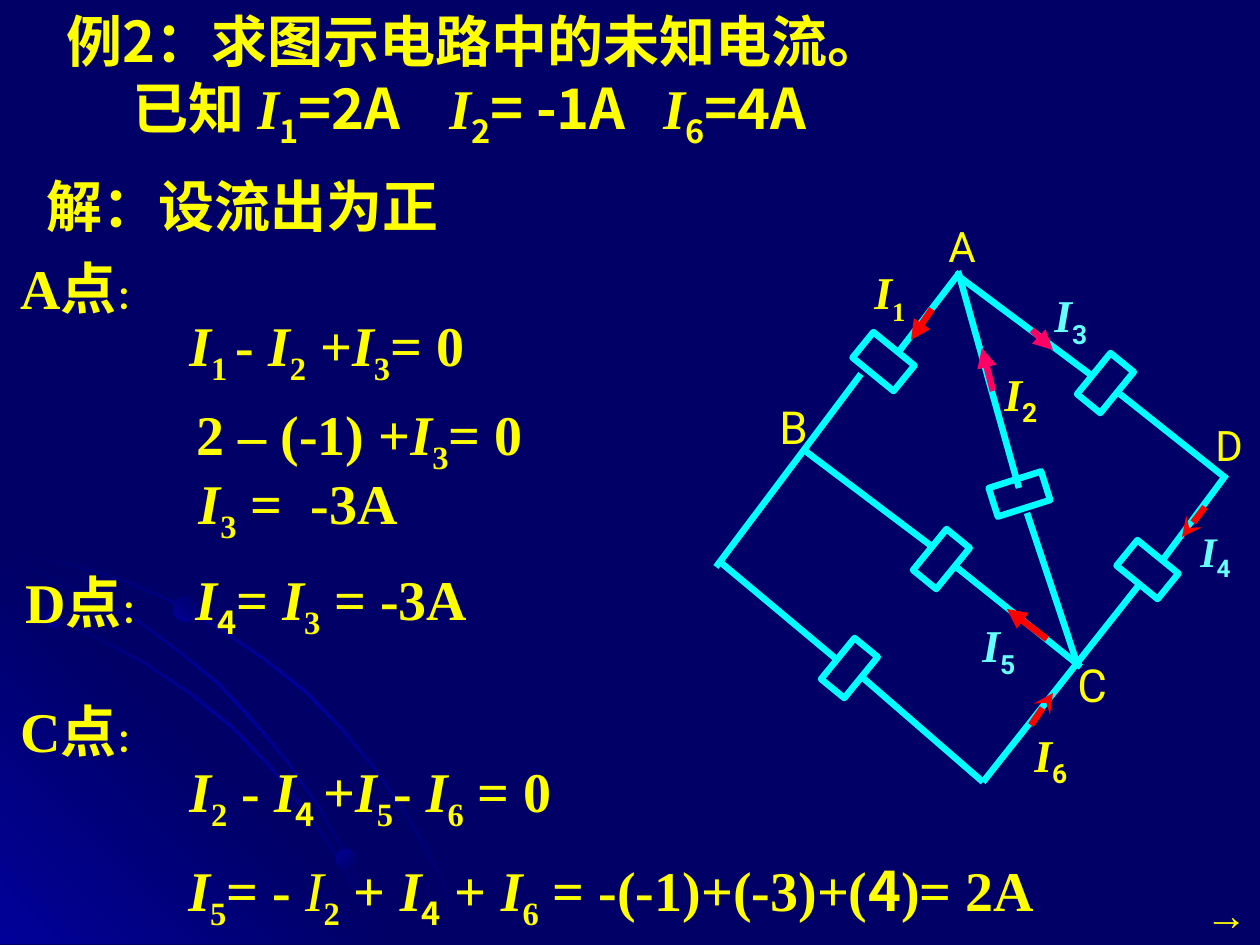
import itertools
from dataclasses import dataclass
from typing import NamedTuple, Optional

import lxml.etree
import pptx
import pptx.dml.color
import pptx.enum.shapes
import pptx.enum.text
import pptx.oxml.ns
import pptx.util

EMU_PER_PX = 914400 / 126
qn = pptx.oxml.ns.qn
RGB = pptx.dml.color.RGBColor.from_string
SHAPES = pptx.enum.shapes.MSO_SHAPE
ALIGN = pptx.enum.text.PP_ALIGN


@dataclass(frozen=True)
class Theme:
    night: str = "000066"
    glow: str = "010199"
    yellow: str = "FFFF00"
    wire: str = "00FFFF"
    pale: str = "66FFFF"
    red: str = "FF0000"
    pink: str = "FF0066"
    serif: str = "Times New Roman"
    sans: str = "Roboto"
    arial: str = "Arial"
    cjk: str = "Noto Sans CJK SC"
    body: float = 32
    large_label: float = 26
    label: float = 24
    colon: float = 18
    stroke: float = 3.75


THEME = Theme()


class Run(NamedTuple):
    text: str
    font: str
    size: float = THEME.body
    color: str = THEME.yellow
    bold: bool = True
    italic: bool = False
    sub: bool = False


class Notation(NamedTuple):
    body: str = THEME.serif
    subscript: str = THEME.serif
    four: str = THEME.cjk


class Resistor(NamedTuple):
    left: int
    top: int
    width: int
    height: int
    angle: float


class Joint(NamedTuple):
    resistor: str
    site: int


class Wire(NamedTuple):
    start: tuple
    end: tuple
    start_joint: Optional[Joint] = None
    end_joint: Optional[Joint] = None


class Arrow(NamedTuple):
    start: tuple
    end: tuple
    color: str
    head: str


class Label(NamedTuple):
    text: str
    left: int
    top: int
    size: float = THEME.large_label
    color: str = THEME.yellow
    subscript: str = THEME.sans


class Equation(NamedTuple):
    text: str
    left: int
    top: int
    width: int
    tabs: tuple = ()


RIBBONS = [
    [(0, 551), (35, 558), (71, 566), (122, 581), (170, 602), (218, 629), (262, 659),
     (304, 692), (341, 730), (375, 771), (407, 818), (441, 879), (466, 944)],
    [(0, 601), (49, 617), (97, 639), (145, 665), (189, 694), (231, 728), (268, 766),
     (302, 809), (334, 853), (359, 900), (379, 944)],
    [(0, 559), (45, 576), (93, 599), (137, 622), (179, 653), (218, 685), (255, 725),
     (286, 762), (318, 808), (336, 840), (353, 874), (368, 910), (379, 944)],
]
CORNER = [(406, 944), (0, 944), (0, 538)]
BEADS = [(45, 609, 19, 315), (336, 849, 20, 45), (173, 596, 26, 315)]

RESISTORS = {
    "lower": Resistor(823, 653, 53, 30, 309.2),
    "BC": Resistor(915, 544, 53, 30, 309.2),
    "AD": Resistor(1079, 368, 53, 30, 309.2),
    "CD": Resistor(1121, 553, 53, 33, 219.2),
    "AB": Resistor(857, 345, 53, 33, 219.2),
    "AC": Resistor(992, 479, 55, 30, 342.4),
}
WIRES = [
    Wire((835, 658), (719, 561), start_joint=Joint("lower", 0)),
    Wire((983, 782), (862, 677), end_joint=Joint("lower", 2)),
    Wire((861, 374), (716, 567)),
    Wire((1139, 585), (983, 782), start_joint=Joint("CD", 0)),
    Wire((804, 450), (934, 548), end_joint=Joint("BC", 0)),
    Wire((955, 566), (1081, 667), start_joint=Joint("BC", 2)),
    Wire((960, 272), (897, 354), end_joint=Joint("AB", 2)),
    Wire((961, 278), (1091, 375), end_joint=Joint("AD", 0)),
    Wire((1120, 394), (1227, 479), start_joint=Joint("AD", 2)),
    Wire((1223, 479), (1162, 561), end_joint=Joint("CD", 2)),
    Wire((958, 271), (1019, 488)),
    Wire((1027, 513), (1077, 663), start_joint=Joint("AC", 2)),
]
ARROWS = [
    Arrow((932, 309), (911, 340), THEME.red, "triangle"),
    Arrow((1032, 330), (1053, 350), THEME.pink, "triangle"),
    Arrow((993, 391), (982, 348), THEME.pink, "triangle"),
    Arrow((1047, 639), (1007, 609), THEME.red, "triangle"),
    Arrow((1205, 507), (1182, 537), THEME.red, "stealth"),
    Arrow((1031, 725), (1053, 693), THEME.red, "stealth"),
]
NODES = [Label("A", 936, 214, THEME.label), Label("B", 767, 393),
         Label("C", 1065, 651), Label("D", 1203, 413, THEME.label)]
CURRENTS = [
    Label("I_1", 862, 258, subscript=THEME.serif),
    Label("I_2", 992, 360),
    Label("I_3", 1042, 281, color=THEME.pale),
    Label("I_4", 1188, 519, THEME.label, THEME.pale),
    Label("I_5", 970, 611, color=THEME.pale),
    Label("I_6", 1022, 721),
]
POINTS = [("A", -5, 247), ("D", 0, 561), ("C", -5, 690)]
EQUATIONS = [
    Equation("I_1_ - I_2 +I_3= 0", 177, 304, 400),
    Equation("2 – (-1) +I_3= 0", 184, 393, 400),
    Equation("I_3 =\t-3A", 186, 462, 400, (112,)),
    Equation("I_4= I_3 = -3A", 183, 558, 400),
    Equation("I_2 - I_4_ +I_5- I_6 = 0", 177, 750, 460),
    Equation("I_5= - ~I_2 + I_4 + I_6 = -(-1)+(-3)+(4)= 2A", 176, 849, 1000),
]


def px(length: float) -> int:
    return round(length * EMU_PER_PX)


def notate(text: str, notation: Notation = Notation(), size: float = THEME.body,
           color: str = THEME.yellow) -> list[Run]:
    letters, mark = [], ""
    for letter in text:
        if letter in "_~":
            mark = letter
            continue
        sub, variable = mark == "_", letter == "I"
        font = notation.subscript if sub else notation.body
        font = THEME.serif if variable else notation.four if letter == "4" else font
        letters.append(Run(letter, font, size, color, mark != "~", variable, sub))
        mark = ""
    return [style._replace(text="".join(run.text for run in group))
            for style, group in itertools.groupby(letters, lambda run: run._replace(text=""))]


def add_text(slide, lines: list[list[Run]], left: int, top: int, width: int, height: int,
             align=ALIGN.LEFT, tabs: tuple = ()) -> None:
    frame = slide.shapes.add_textbox(px(left), px(top), px(width), px(height)).text_frame
    frame.word_wrap = True
    for index, line in enumerate(lines):
        paragraph = frame.add_paragraph() if index else frame.paragraphs[0]
        paragraph.alignment = align
        if tabs:
            stops = lxml.etree.SubElement(paragraph._p.get_or_add_pPr(), qn("a:tabLst"))
            for stop in tabs:
                lxml.etree.SubElement(stops, qn("a:tab"), pos=str(px(stop)), algn="l")
        for part in line:
            run = paragraph.add_run()
            run.text = part.text
            run.font.name = part.font
            run.font.size = pptx.util.Pt(part.size)
            run.font.bold, run.font.italic = part.bold, part.italic
            run.font.color.rgb = RGB(part.color)
            properties = run._r.get_or_add_rPr()
            lxml.etree.SubElement(properties, qn("a:ea"), typeface=THEME.cjk)
            if part.sub:
                properties.set("baseline", "-25000")


def shade(shape, colors: list[str], angle: int) -> None:
    shape.shadow.inherit = False
    shape.line.fill.background()
    shape.fill.gradient()
    shape.fill.gradient_angle = 360 - angle
    stops = shape._element.spPr.find(qn("a:gradFill")).find(qn("a:gsLst"))
    for stop in list(stops):
        stops.remove(stop)
    for index, color in enumerate(colors):
        place = 100000 * index // (len(colors) - 1)
        stop = lxml.etree.SubElement(stops, qn("a:gs"), pos=str(place))
        lxml.etree.SubElement(stop, qn("a:srgbClr"), val=color)


def add_outline(slide, points: list, colors: list[str], angle: int) -> None:
    builder = slide.shapes.build_freeform(*points[0], scale=EMU_PER_PX)
    builder.add_line_segments(points[1:], close=True)
    shade(builder.convert_to_shape(), colors, angle)


def add_ribbon(slide, edge: list) -> None:
    far_edge = [(x + 2, y - 2) for x, y in reversed(edge)]
    add_outline(slide, edge + far_edge, [THEME.night, THEME.glow, THEME.night], 45)


def add_backdrop(slide) -> None:
    slide.background.fill.solid()
    slide.background.fill.fore_color.rgb = RGB(THEME.night)
    add_ribbon(slide, RIBBONS[0])
    add_outline(slide, CORNER, [THEME.glow, THEME.night, THEME.glow], 315)
    for edge in RIBBONS[1:]:
        add_ribbon(slide, edge)
    for left, top, size, angle in BEADS:
        bead = slide.shapes.add_shape(SHAPES.OVAL, px(left), px(top), px(size), px(size))
        shade(bead, [THEME.glow, THEME.night], angle)


def add_resistor(slide, resistor: Resistor):
    box = slide.shapes.add_shape(SHAPES.RECTANGLE, *map(px, resistor[:4]))
    box.rotation = resistor.angle
    box.shadow.inherit = False
    box.fill.background()
    box.line.color.rgb = RGB(THEME.wire)
    box.line.width = pptx.util.Pt(THEME.stroke)
    return box


def add_line(slide, start: tuple, end: tuple, color: str):
    line = slide.shapes.add_connector(pptx.enum.shapes.MSO_CONNECTOR.STRAIGHT,
                                      *map(px, start + end))
    line.line.color.rgb = RGB(color)
    line.line.width = pptx.util.Pt(THEME.stroke)
    lxml.etree.SubElement(line._element.spPr, qn("a:effectLst"))
    return line


def add_wire(slide, wire: Wire, boxes: dict) -> None:
    line = add_line(slide, wire.start, wire.end, THEME.wire)
    if wire.start_joint:
        line.begin_connect(boxes[wire.start_joint.resistor], wire.start_joint.site)
    if wire.end_joint:
        line.end_connect(boxes[wire.end_joint.resistor], wire.end_joint.site)
    line.begin_x, line.begin_y = map(px, wire.start)
    line.end_x, line.end_y = map(px, wire.end)


def add_arrow(slide, arrow: Arrow) -> None:
    line = add_line(slide, arrow.start, arrow.end, arrow.color)
    lxml.etree.SubElement(line.line._get_or_add_ln(), qn("a:tailEnd"), type=arrow.head)


def main() -> None:
    deck = pptx.Presentation()
    deck.slide_width, deck.slide_height = px(1260), px(945)
    slide = deck.slides.add_slide(deck.slide_layouts[6])
    add_backdrop(slide)

    question = [Run("例2：求图示电路中的未知电流。", THEME.cjk)]
    given = notate("\t已知 I_1=2A\tI_2= -1A\tI_6=4A", Notation(THEME.cjk, THEME.cjk))
    add_text(slide, [question, given], 54, 0, 1091, 156, tabs=(66, 383, 597))
    add_text(slide, [[Run("解：设流出为正", THEME.sans)]], 34, 165, 486, 81)
    add_text(slide, [[Run("→", THEME.arial, THEME.label, bold=False)]], 1193, 882, 67, 63)

    boxes = {name: add_resistor(slide, resistor) for name, resistor in RESISTORS.items()}
    for wire in WIRES:
        add_wire(slide, wire, boxes)
    for arrow in ARROWS:
        add_arrow(slide, arrow)
    for node in NODES:
        name = Run(node.text, THEME.sans, node.size, node.color, bold=False)
        add_text(slide, [[name]], node.left, node.top, 57, 68)
    for current in CURRENTS:
        notation = Notation(THEME.serif, current.subscript, current.subscript)
        runs = notate(current.text, notation, current.size, current.color)
        add_text(slide, [runs], current.left, current.top, 72, 76)

    for point, left, top in POINTS:
        heading = [Run(point, THEME.serif), Run("点", THEME.arial),
                   Run("：", THEME.arial, THEME.colon)]
        add_text(slide, [heading], left, top, 179, 81, ALIGN.CENTER)
    for equation in EQUATIONS:
        add_text(slide, [notate(equation.text)], equation.left, equation.top,
                 equation.width, 89, tabs=equation.tabs)
    deck.save("out.pptx")


if __name__ == "__main__":
    main()
